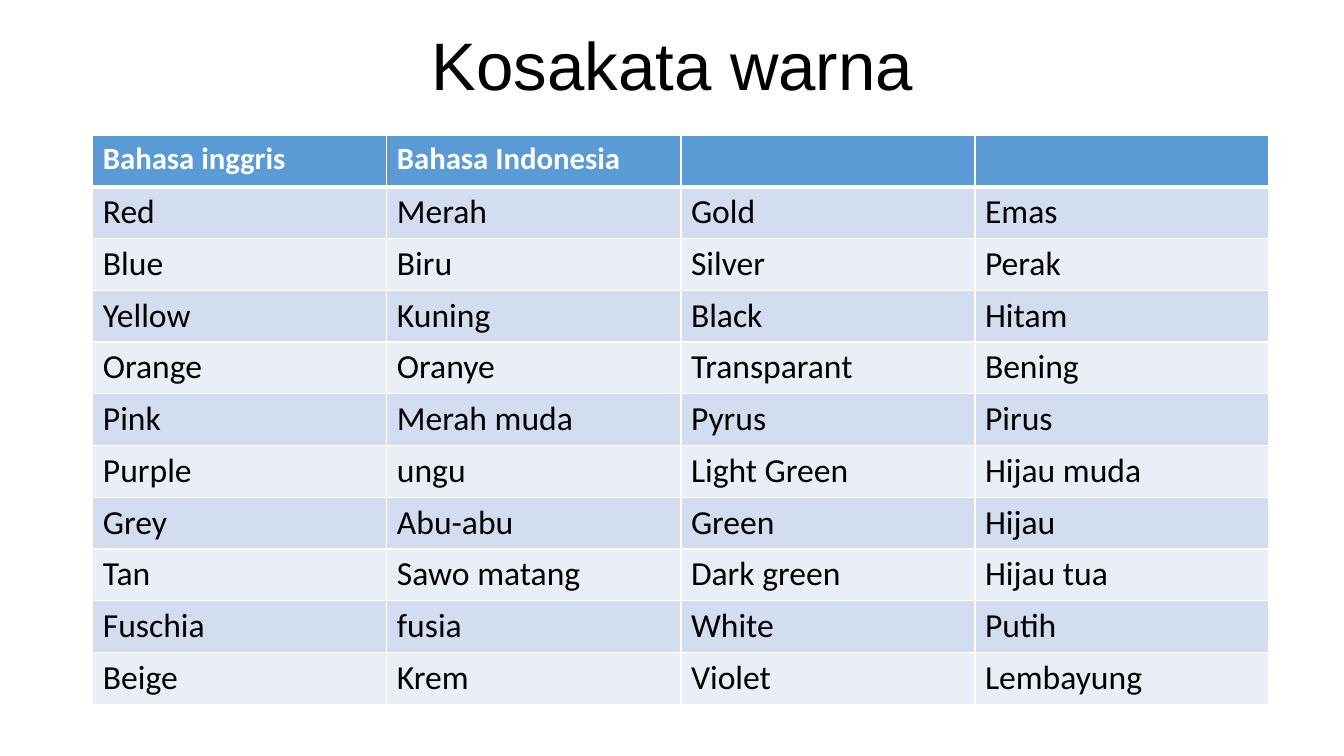
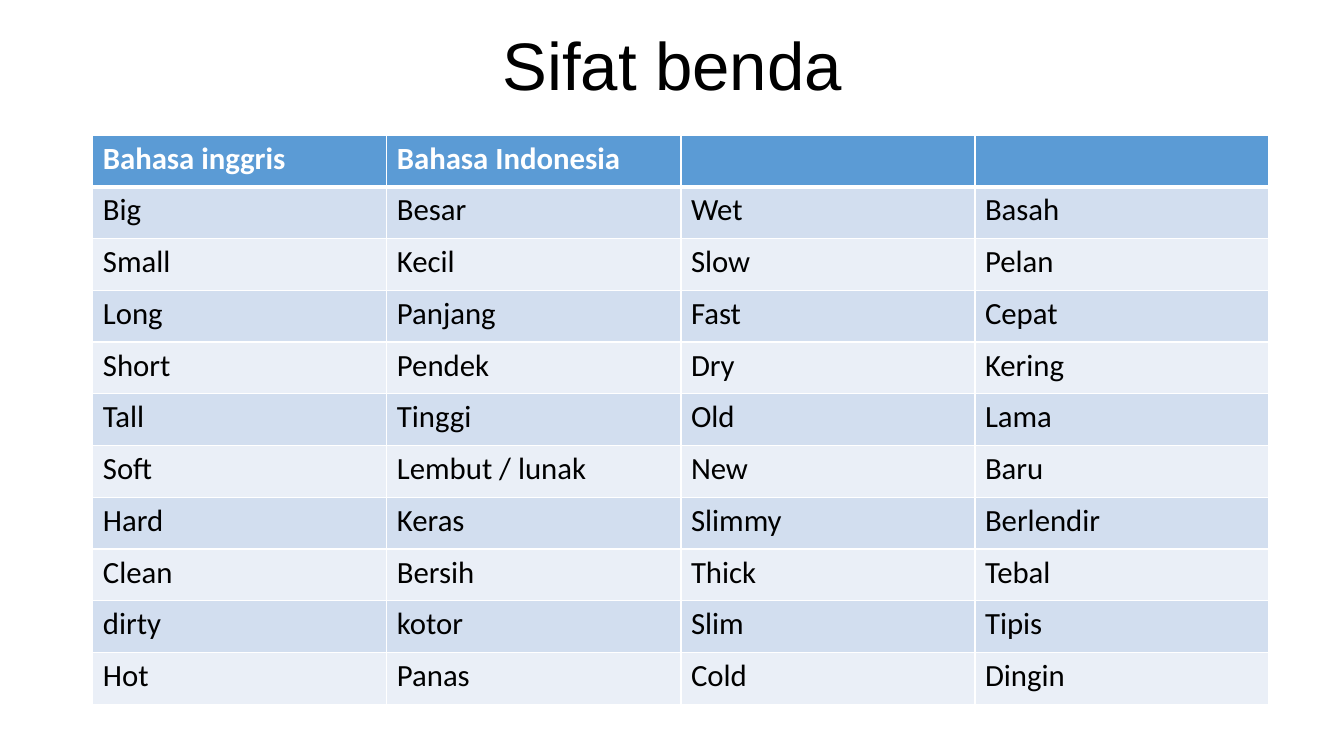
from lxml import etree
from pptx import Presentation
from pptx.dml.color import RGBColor
from pptx.enum.text import MSO_ANCHOR, MSO_AUTO_SIZE, PP_ALIGN
from pptx.oxml.ns import qn
from pptx.util import Cm, Pt

CENTER = PP_ALIGN.CENTER
MIDDLE = MSO_ANCHOR.MIDDLE
NO_FIT = MSO_AUTO_SIZE.NONE
TITLE_ONLY = 5

# Shared look: boxes are left, top, width, height in cm
TITLE_BOX = (2.34, 0.71, 29.21, 2.06)
TABLE_BOX = (2.34, 3.4, 29.64, 14.35)
WHITE, BLACK, HEADER_FILL = "FFFFFF", "000000", "5B9BD5"
BAND_FILLS = ("D2DEEF", "EAEFF7")
TITLE_FONT = {"name": "Arial", "size": Pt(48), "bold": False}
HEADER_FONT = {"name": "Calibri", "size": Pt(22), "bold": True}
HEADER = ("Bahasa inggris", "Bahasa Indonesia", "", "")

COLOUR_WORDS = [
    ("Red", "Merah", "Gold", "Emas"),
    ("Blue", "Biru", "Silver", "Perak"),
    ("Yellow", "Kuning", "Black", "Hitam"),
    ("Orange", "Oranye", "Transparant", "Bening"),
    ("Pink", "Merah muda", "Pyrus", "Pirus"),
    ("Purple", "ungu", "Light Green", "Hijau muda"),
    ("Grey", "Abu-abu", "Green", "Hijau"),
    ("Tan", "Sawo matang", "Dark green", "Hijau tua"),
    ("Fuschia", "fusia", "White", "Putih"),
    ("Beige", "Krem", "Violet", "Lembayung"),
]
QUALITY_WORDS = [
    ("Big", "Besar", "Wet", "Basah"),
    ("Small", "Kecil", "Slow", "Pelan"),
    ("Long", "Panjang", "Fast", "Cepat"),
    ("Short", "Pendek", "Dry", "Kering"),
    ("Tall", "Tinggi", "Old", "Lama"),
    ("Soft", "Lembut / lunak", "New", "Baru"),
    ("Hard", "Keras", "Slimmy", "Berlendir"),
    ("Clean", "Bersih", "Thick", "Tebal"),
    ("dirty", "kotor", "Slim", "Tipis"),
    ("Hot", "Panas", "Cold", "Dingin"),
]


def rgb(value):
    return RGBColor.from_string(value)


def set_font(font, colour, formats):
    for name, value in formats.items():
        setattr(font, name, value)
    font.color.rgb = rgb(colour)


def set_borders(cell, widths):
    """Draw white cell borders; widths maps a side to points."""
    tcPr = cell._tc.get_or_add_tcPr()
    for side, width in widths.items():
        ln = etree.SubElement(tcPr, qn(f"a:ln{side}"), w=str(Pt(width)))
        fill = etree.SubElement(ln, qn("a:solidFill"))
        etree.SubElement(fill, qn("a:srgbClr"), val=WHITE)


def add_title(s, text, box):
    sp = s.shapes.title
    sp.left, sp.top, sp.width, sp.height = map(Cm, box)
    tf = sp.text_frame
    tf.text = text
    tf.auto_size, tf.vertical_anchor = NO_FIT, MIDDLE
    p = tf.paragraphs[0]
    p.alignment, p.line_spacing = CENTER, 0.9
    set_font(p.runs[0].font, BLACK, TITLE_FONT)


def add_word_table(s, words, body_size, box):
    rows = [HEADER, *words]
    table = s.shapes.add_table(len(rows), len(HEADER), *map(Cm, box)).table
    for column in table.columns:
        column.width = Cm(box[2] / len(HEADER))
    body_font = {**HEADER_FONT, "size": Pt(body_size), "bold": False}
    for i, row in enumerate(rows):
        table.rows[i].height = Cm(box[3] / len(rows))
        # Header row first, then alternating bands
        if i == 0:
            fill, colour, formats = HEADER_FILL, WHITE, HEADER_FONT
        else:
            fill, colour, formats = BAND_FILLS[(i - 1) % 2], BLACK, body_font
        # A thick rule separates the header from the first band
        widths = {"L": 1, "R": 1, "T": 3 if i == 1 else 1, "B": 3 if i == 0 else 1}
        for j, text in enumerate(row):
            cell = table.cell(i, j)
            set_borders(cell, widths)
            cell.fill.solid()
            cell.fill.fore_color.rgb = rgb(fill)
            if text:
                r = cell.text_frame.paragraphs[0].add_run()
                r.text = text
                set_font(r.font, colour, formats)


def add_vocabulary_slide(prs, title, words, body_size):
    s = prs.slides.add_slide(prs.slide_layouts[TITLE_ONLY])
    add_title(s, title, TITLE_BOX)
    add_word_table(s, words, body_size, TABLE_BOX)


def main():
    prs = Presentation()
    prs.slide_width, prs.slide_height = Cm(33.87), Cm(19.05)
    add_vocabulary_slide(prs, "Kosakata warna", COLOUR_WORDS, 24)
    add_vocabulary_slide(prs, "Sifat benda", QUALITY_WORDS, 22)
    prs.save("out.pptx")


if __name__ == "__main__":
    main()
